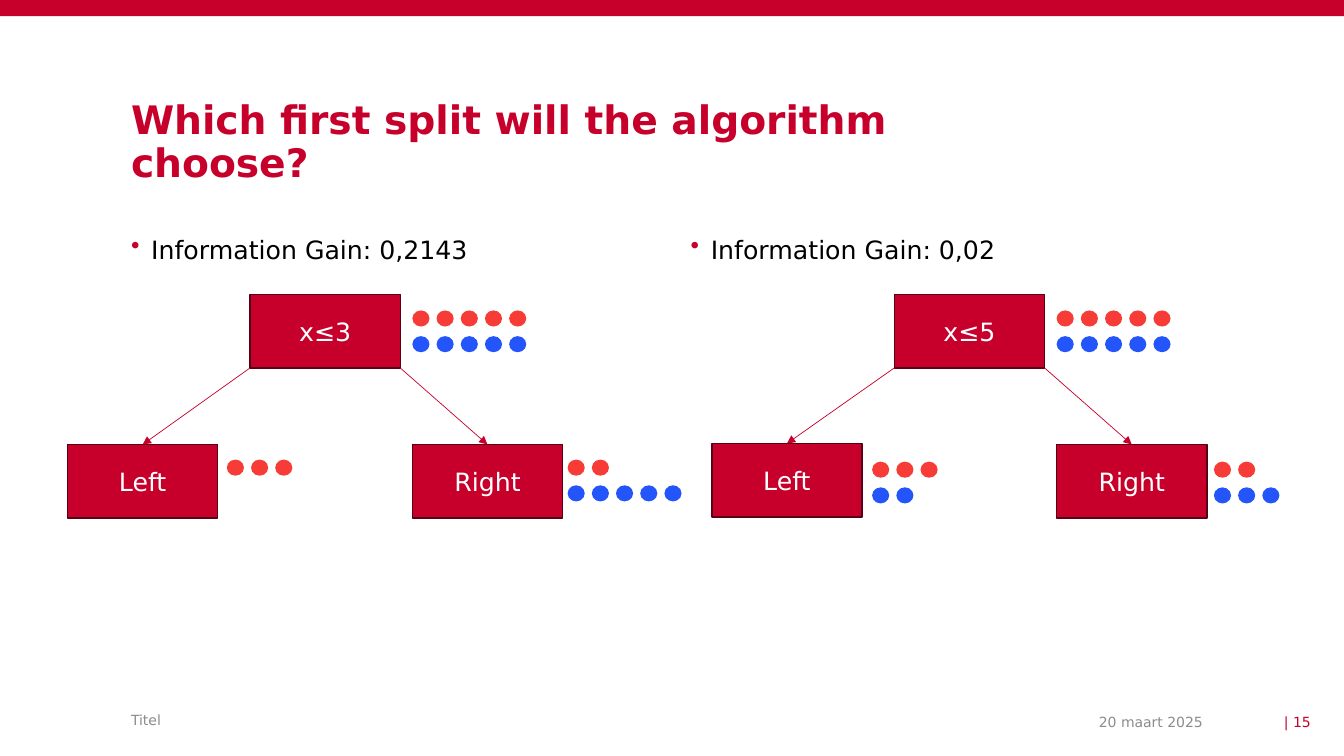
import pptx
import pptx.util
import pptx.dml.color
import pptx.enum.shapes
import pptx.enum.text
import pptx.oxml.ns
import lxml.etree

Inches = pptx.util.Inches
Pt = pptx.util.Pt
Shape = pptx.enum.shapes.MSO_SHAPE
Anchor = pptx.enum.text.MSO_ANCHOR
Align = pptx.enum.text.PP_ALIGN
qn = pptx.oxml.ns.qn

FONT = "DejaVu Sans"
CRIMSON, DARK, GREY = "C7002B", "570013", "8C8C8C"
RED, BLUE = "F73C37", "2355FB"
NODE_W, NODE_H = 1.49, 0.73
DOT_W, DOT_H, DOT_STEP, ROW_STEP = 0.17, 0.16, 0.24, 0.255


def rgb(color):
    return pptx.dml.color.RGBColor.from_string(color)


def add_run(p, text, size, color, bold=False):
    r = p.add_run()
    r.text = text
    r.font.name = FONT
    r.font.size = Pt(size)
    r.font.bold = bold
    r.font.color.rgb = rgb(color)


def add_text(s, box, text, size, color, bold=False, align=Align.LEFT, anchor=Anchor.TOP):
    tf = s.shapes.add_textbox(*map(Inches, box)).text_frame
    tf.word_wrap = True
    tf.vertical_anchor = anchor
    tf.margin_left = tf.margin_right = tf.margin_top = tf.margin_bottom = 0
    p = tf.paragraphs[0]
    p.alignment = align
    add_run(p, text, size, color, bold)
    return p


def add_bullet(s, box, text):
    pPr = add_text(s, box, text, 18, "000000")._p.get_or_add_pPr()
    pPr.set("marL", str(Inches(0.2)))
    pPr.set("indent", str(Inches(-0.2)))
    bullet_color = lxml.etree.SubElement(pPr, qn("a:buClr"))
    lxml.etree.SubElement(bullet_color, qn("a:srgbClr"), val=CRIMSON)
    lxml.etree.SubElement(pPr, qn("a:buChar"), char="•")


def add_filled(s, kind, box, fill, line=None):
    sp = s.shapes.add_shape(kind, *map(Inches, box))
    sp.shadow.inherit = False
    sp.fill.solid()
    sp.fill.fore_color.rgb = rgb(fill)
    if line:
        sp.line.color.rgb = rgb(line)
        sp.line.width = Pt(1)
    else:
        sp.line.fill.background()
    return sp


def add_node(s, x, y, label):
    sp = add_filled(s, Shape.RECTANGLE, (x, y, NODE_W, NODE_H), CRIMSON, DARK)
    tf = sp.text_frame
    tf.vertical_anchor = Anchor.MIDDLE
    p = tf.paragraphs[0]
    p.alignment = Align.CENTER
    add_run(p, label, 18, "FFFFFF")


def add_dots(s, x, y, reds, blues):
    for row, (count, color) in enumerate(((reds, RED), (blues, BLUE))):
        for col in range(count):
            box = (x + col * DOT_STEP, y + row * ROW_STEP, DOT_W, DOT_H)
            add_filled(s, Shape.FLOWCHART_CONNECTOR, box, color)


def add_arrow(s, x1, y1, x2, y2):
    line = s.shapes.add_connector(
        pptx.enum.shapes.MSO_CONNECTOR.STRAIGHT, *map(Inches, (x1, y1, x2, y2)))
    line.line.color.rgb = rgb(CRIMSON)
    line.line.width = Pt(0.5)
    lxml.etree.SubElement(line.line._get_or_add_ln(), qn("a:tailEnd"), type="triangle")
    lxml.etree.SubElement(line._element.spPr, qn("a:effectLst"))


def add_tree(s, x, left_y, question, root, left, right):
    """Draw a split; root, left and right are (dot x, dot y, reds, blues)."""
    root_x, root_y = x + 1.81, 2.92
    right_x, right_y = x + 3.42, 4.41
    root_bottom = root_y + NODE_H
    add_node(s, root_x, root_y, question)
    add_node(s, x, left_y, "Left")
    add_node(s, right_x, right_y, "Right")
    add_arrow(s, root_x, root_bottom, x + NODE_W / 2, left_y)
    add_arrow(s, root_x + NODE_W, root_bottom, right_x + NODE_W / 2, right_y)
    for dots in (root, left, right):
        add_dots(s, *dots)


def main():
    prs = pptx.Presentation()
    prs.slide_width, prs.slide_height = Inches(13.33), Inches(7.5)
    s = prs.slides.add_slide(prs.slide_layouts[6])

    # Top band and title
    add_filled(s, Shape.RECTANGLE, (0, 0, 13.33, 0.16), CRIMSON)
    title = add_text(s, (1.3, 1, 8.46, 0.39),
                     "Which first split will the algorithm choose?", 28, CRIMSON, bold=True)
    title.line_spacing = 0.9

    # Information gain of each split
    add_bullet(s, (1.3, 2.32, 5.08, 4.24), "Information Gain: 0,2143")
    add_bullet(s, (6.85, 2.32, 5.08, 4.24), "Information Gain: 0,02")

    # Decision trees
    add_tree(s, 0.67, 4.41, "x≤3", (4.09, 3.08, 5, 5), (2.25, 4.56, 3, 0), (5.63, 4.56, 2, 5))
    add_tree(s, 7.06, 4.4, "x≤5", (10.48, 3.08, 5, 5), (8.65, 4.58, 3, 2), (12.04, 4.58, 2, 3))

    # Footer
    add_text(s, (1.3, 6.99, 6.64, 0.31), "Titel", 10, GREY, anchor=Anchor.MIDDLE)
    for box, text, color in (((8.93, 7.04, 3, 0.24), "20 maart 2025", GREY),
                             ((12.11, 7.04, 0.89, 0.24), "| 15", CRIMSON)):
        add_text(s, box, text, 10, color, align=Align.RIGHT, anchor=Anchor.MIDDLE)

    prs.save("out.pptx")


if __name__ == "__main__":
    main()
